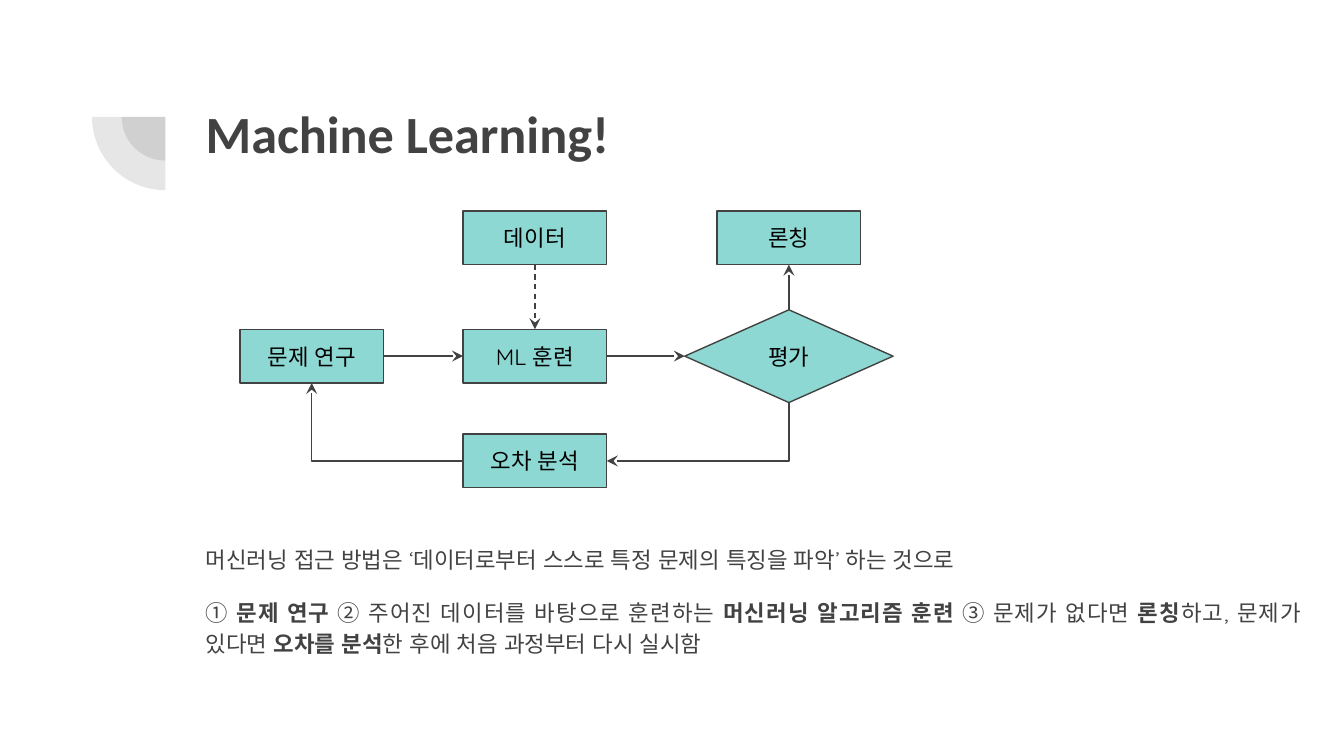
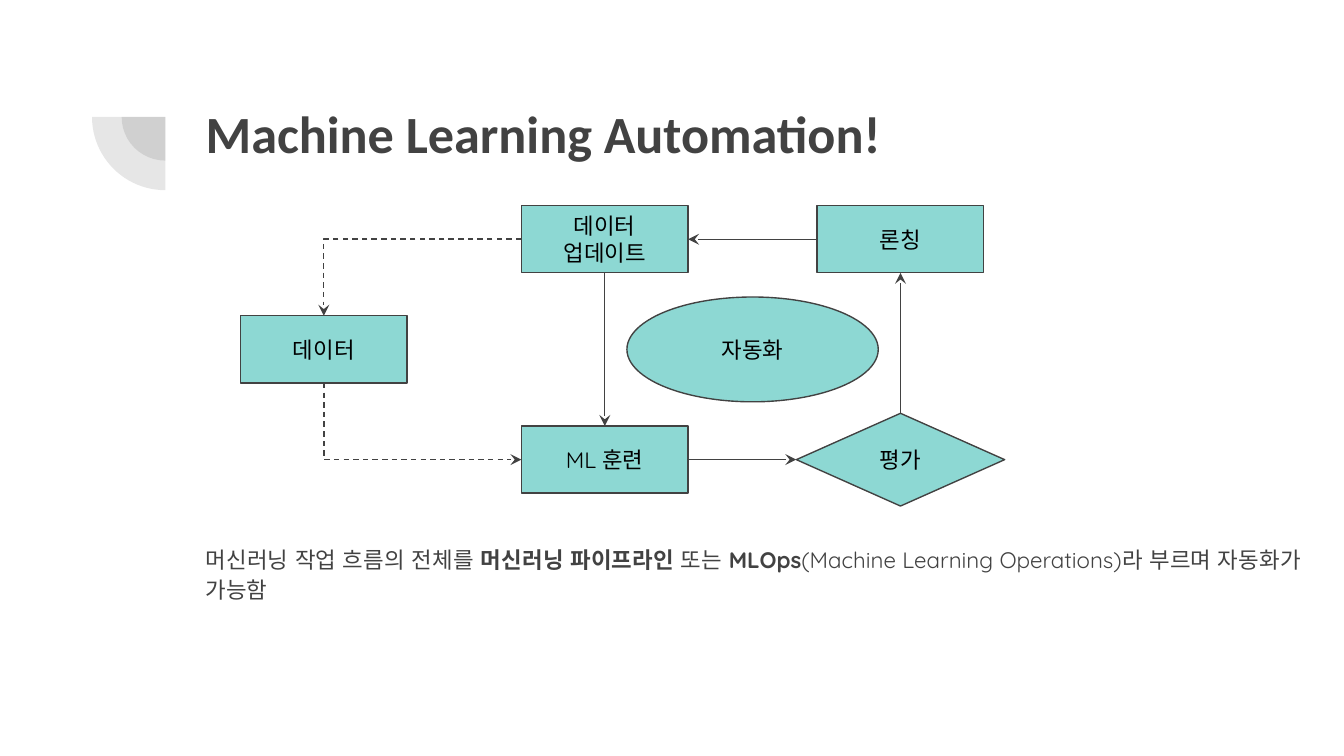
from lxml import etree
from pptx import Presentation
from pptx.dml.color import RGBColor
from pptx.enum import dml, lang, shapes, text
from pptx.oxml import ns
from pptx.util import Inches, Pt

DARK = RGBColor(0x42, 0x42, 0x42)
TEAL = RGBColor(0x8D, 0xD8, 0xD3)
BLACK = RGBColor(0, 0, 0)
HEAD, BODY = "Calibri", "Quicksand"
KIND = shapes.MSO_SHAPE


def add_sub(node, tag, **attrs):
    return etree.SubElement(node, ns.qn(tag), **attrs)


def style(run, size, color, face, bold=False):
    font = run.font
    font.size, font.bold, font.name = Pt(size), bold, face
    font.color.rgb = color
    font.language_id = lang.MSO_LANGUAGE_ID.KOREAN
    add_sub(font._element, "a:ea", typeface=face)


def place(shape, left, top, width, height):
    shape.left, shape.top = Inches(left), Inches(top)
    shape.width, shape.height = Inches(width), Inches(height)


def set_frame(shape, anchor):
    frame = shape.text_frame
    frame.word_wrap = True
    frame.auto_size = text.MSO_AUTO_SIZE.NONE
    frame.vertical_anchor = anchor
    frame.margin_left = frame.margin_right = Inches(0.1)
    frame.margin_top = frame.margin_bottom = Inches(0.1)
    return frame


# Shared page parts
def add_pie(slide, size):
    """Quarter disc whose corner lies at the fixed badge centre."""
    pie = slide.shapes.add_shape(
        KIND.PIE, Inches(1.23 - size / 2), Inches(0.87 - size / 2),
        Inches(size), Inches(size))
    pie.adjustments[0], pie.adjustments[1] = 108, 162
    pie.rotation = 270
    pie.shadow.inherit = False
    pie.line.fill.background()
    pie.fill.solid()
    pie.fill.fore_color.rgb = DARK
    color = pie._element.spPr.find(".//" + ns.qn("a:srgbClr"))
    add_sub(color, "a:alpha", val="13000")


def add_page(deck, title, paras):
    """Paragraphs are (text, space before, space after); *...* is bold."""
    slide = deck.slides.add_slide(deck.slide_layouts[1])
    for size in (0.65, 1.09):
        add_pie(slide, size)

    head = slide.shapes.title
    place(head, 1.43, 0.65, 7.69, 1.09)
    frame = set_frame(head, text.MSO_ANCHOR.TOP)
    frame.text = title
    frame.paragraphs[0].alignment = text.PP_ALIGN.LEFT
    style(frame.paragraphs[0].runs[0], 28, DARK, HEAD, True)

    body = slide.placeholders[1]
    place(body, 1.43, 3.93, 8.35, 1.43)
    frame = set_frame(body, text.MSO_ANCHOR.TOP)
    for i, (words, before, after) in enumerate(paras):
        para = frame.add_paragraph() if i else frame.paragraphs[0]
        para.alignment = text.PP_ALIGN.JUSTIFY
        para.line_spacing = 1.15
        para.space_before, para.space_after = Pt(before), Pt(after)
        props = para._p.get_or_add_pPr()
        props.set("marL", "0")
        props.set("indent", "0")
        add_sub(props, "a:buNone")
        for j, part in enumerate(words.split("*")):
            if part:
                run = para.add_run()
                run.text = part
                style(run, 12, DARK, BODY, j % 2 == 1)
    return slide


# Flow chart parts
def add_node(slide, label, x, y, size, kind=KIND.RECTANGLE):
    """Labelled shape centred on x, y."""
    w, h = size
    node = slide.shapes.add_shape(
        kind, Inches(x - w / 2), Inches(y - h / 2), Inches(w), Inches(h))
    node.shadow.inherit = False
    node.fill.solid()
    node.fill.fore_color.rgb = TEAL
    node.line.color.rgb = DARK
    node.line.width = Pt(0.75)
    frame = set_frame(node, text.MSO_ANCHOR.MIDDLE)
    frame.text = label
    para = frame.paragraphs[0]
    para.alignment = text.PP_ALIGN.CENTER
    style(para.runs[0], 12, BLACK, BODY)
    return node


def find_mid(node):
    return node.left + node.width // 2, node.top + node.height // 2


def find_edge(node, other, axis):
    """Middle of the side of node that faces other along the axis."""
    (x, y), (ox, oy) = find_mid(node), find_mid(other)
    if axis == "h":
        return (node.left + node.width if ox > x else node.left), y
    return x, (node.top + node.height if oy > y else node.top)


def add_link(slide, start, end, route, dash=False):
    """Arrow; route names the axis it leaves on and the one it arrives on."""
    x1, y1 = find_edge(start, end, route[0])
    x2, y2 = find_edge(end, start, route[1])
    if route == "vh":
        # The bend runs across first, so a downward start is turned by 90
        mx, my, dx, dy = (x1 + x2) / 2, (y1 + y2) / 2, x2 - x1, y2 - y1
        x1, y1 = int(mx - dy / 2), int(my + dx / 2)
        x2, y2 = int(mx + dy / 2), int(my - dx / 2)
    bent = route[0] != route[1]
    form = shapes.MSO_CONNECTOR.ELBOW if bent else shapes.MSO_CONNECTOR.STRAIGHT
    link = slide.shapes.add_connector(form, x1, y1, x2, y2)
    props = link._element.spPr
    if bent:
        props.find(ns.qn("a:prstGeom")).set("prst", "bentConnector2")
    if route == "vh":
        props.find(ns.qn("a:xfrm")).set("rot", "5400000")
    link.line.color.rgb = DARK
    link.line.width = Pt(0.75)
    if dash:
        link.line.dash_style = dml.MSO_LINE.DASH
    add_sub(link.line._get_or_add_ln(), "a:tailEnd", type="stealth")
    add_sub(props, "a:effectLst")


def build_basic(deck):
    slide = add_page(deck, "Machine Learning!", [
        ("머신러닝 접근 방법은 ‘데이터로부터 스스로 특정 문제의 특징을 파악’ "
         "하는 것으로", 0, 0),
        ("① *문제 연구* ② 주어진 데이터를 바탕으로 훈련하는 "
         "*머신러닝 알고리즘 훈련* ③ 문제가 없다면 *론칭*하고, 문제가 있다면 "
         "*오차를 분석*한 후에 처음 과정부터 다시 실시함", 12, 12)])
    left, mid, right = 2.32, 3.98, 5.87
    top, centre, low = 1.77, 2.65, 3.43
    box = (1.07, 0.4)
    study = add_node(slide, "문제 연구", left, centre, box)
    train = add_node(slide, "ML 훈련", mid, centre, box)
    check = add_node(slide, "평가", right, centre, (1.55, 0.69), KIND.DIAMOND)
    error = add_node(slide, "오차 분석", mid, low, box)
    launch = add_node(slide, "론칭", right, top, box)
    add_link(slide, check, error, "vh")
    add_link(slide, error, study, "hv")
    add_link(slide, study, train, "hh")
    add_link(slide, train, check, "hh")
    add_link(slide, check, launch, "vv")
    data = add_node(slide, "데이터", mid, top, box)
    add_link(slide, data, train, "vv", dash=True)


def build_auto(deck):
    slide = add_page(deck, "Machine Learning Automation!", [
        ("머신러닝 작업 흐름의 전체를 *머신러닝 파이프라인* 또는 *MLOps*"
         "(Machine Learning Operations)라 부르며 자동화가 가능함", 0, 12)])
    left, mid, right = 2.41, 4.5, 6.7
    top, centre, low = 1.78, 2.6, 3.42
    box = (1.24, 0.5)
    update = add_node(slide, "데이터 업데이트", mid, top, box)
    check = add_node(slide, "평가", right, low, (1.55, 0.69), KIND.DIAMOND)
    train = add_node(slide, "ML 훈련", mid, low, box)
    launch = add_node(slide, "론칭", right, top, box)
    add_link(slide, train, check, "hh")
    add_link(slide, launch, update, "hh")
    add_link(slide, check, launch, "vv")
    add_link(slide, update, train, "vv")
    add_node(slide, "자동화", (mid + right) / 2, centre, (1.87, 0.78), KIND.OVAL)
    data = add_node(slide, "데이터", left, centre, box)
    add_link(slide, update, data, "hv", dash=True)
    add_link(slide, data, train, "vh", dash=True)


def main():
    deck = Presentation()
    # Widescreen, 16 to 9
    deck.slide_width, deck.slide_height = Inches(10), Inches(10 * 9 / 16)
    build_basic(deck)
    build_auto(deck)
    deck.save("out.pptx")


if __name__ == "__main__":
    main()
